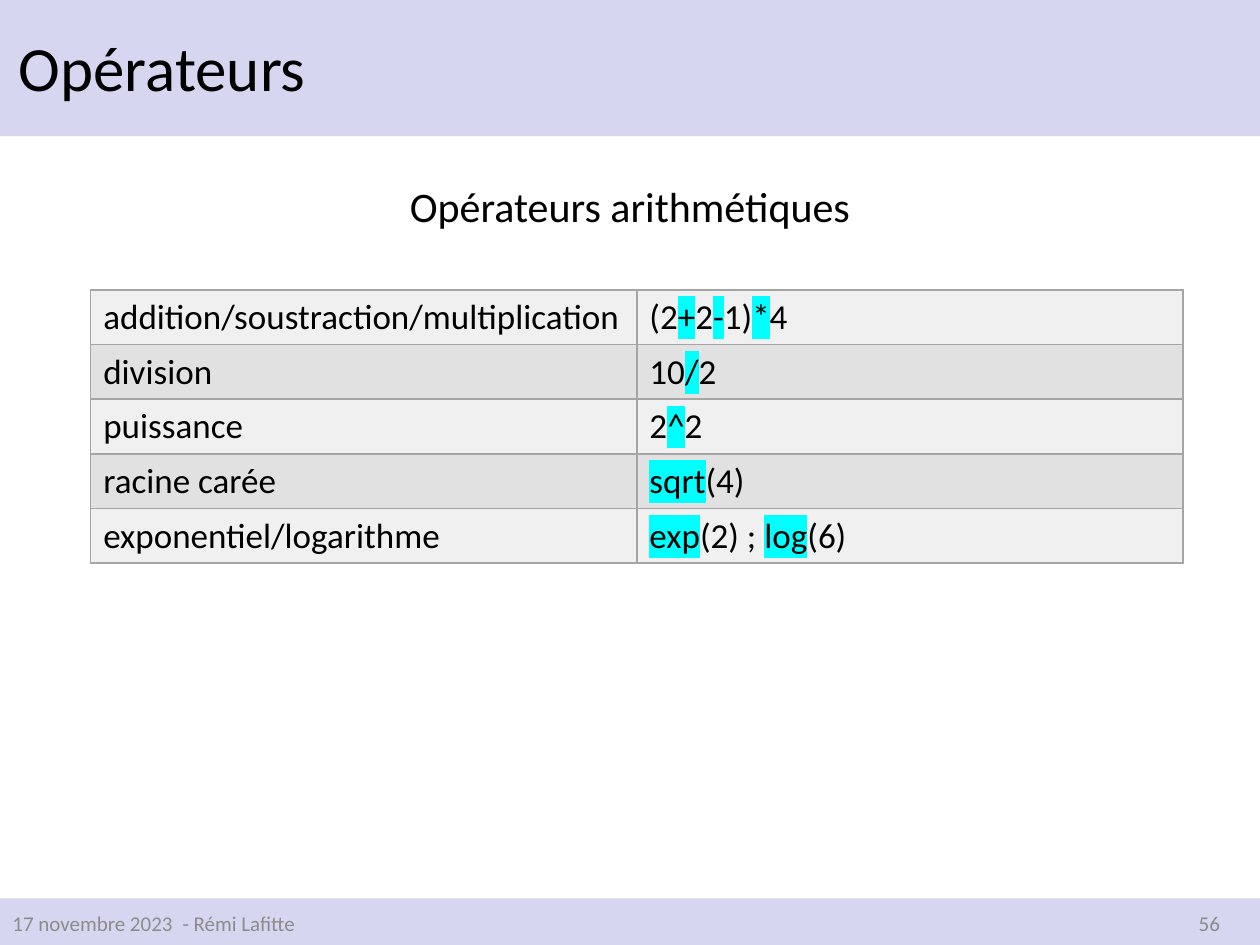
from lxml import etree
from pptx import Presentation
from pptx import util as u
from pptx.dml.color import RGBColor
from pptx.enum import shapes, text
from pptx.oxml import ns

WIDTH, HEIGHT = u.Inches(10), u.Inches(7.5)
FONT = "Calibri"
BLACK = RGBColor(0x00, 0x00, 0x00)
GREY = RGBColor(0x8C, 0x8C, 0x8C)
LAVENDER = RGBColor(0xD6, 0xD6, 0xF0)
BORDER = RGBColor(0xA5, 0xA5, 0xA5)
HIGHLIGHT = RGBColor(0x00, 0xFF, 0xFF)
ROW_FILLS = (RGBColor(0xF0, 0xF0, 0xF0), RGBColor(0xE1, 0xE1, 0xE1))

# Parts between bars are highlighted operators.
OPERATORS = [
    ("addition/soustraction/multiplication", "(2|+|2|-|1)|*|4"),
    ("division", "10|/|2"),
    ("puissance", "2|^|2"),
    ("racine carée", "|sqrt|(4)"),
    ("exponentiel/logarithme", "|exp|(2) ; |log|(6)"),
]


def add_colour(parent, tag, colour):
    holder = etree.SubElement(parent, ns.qn(tag))
    etree.SubElement(holder, ns.qn("a:srgbClr")).set("val", str(colour))
    return holder


def add_run(paragraph, words, size, colour=BLACK, highlighted=False):
    run = paragraph.add_run()
    run.text = words
    run.font.size = u.Pt(size)
    run.font.color.rgb = colour
    if highlighted:
        add_colour(run.font._element, "a:highlight", HIGHLIGHT)
    run.font.name = FONT


def add_band(slide, top, height):
    """Draw a full-width band behind everything else."""
    band = slide.shapes.add_shape(shapes.MSO_SHAPE.RECTANGLE, 0, u.Inches(top),
                                  WIDTH, u.Inches(height))
    band.shadow.inherit = False
    band.fill.solid()
    band.fill.fore_color.rgb = LAVENDER
    band.line.fill.background()
    slide.shapes._spTree.insert(2, band._element)


def add_title(slide, words):
    title = slide.shapes.title
    title.left, title.top = u.Inches(0.05), u.Inches(0.07)
    title.width, title.height = u.Inches(7.33), u.Inches(0.99)
    title.text_frame.vertical_anchor = text.MSO_ANCHOR.MIDDLE
    paragraph = title.text_frame.paragraphs[0]
    paragraph.alignment = text.PP_ALIGN.LEFT
    paragraph.line_spacing = 0.9
    add_run(paragraph, words, 36)


def add_label(slide, words, box, size, colour, align, anchor, spacing=1.0):
    label = slide.shapes.add_textbox(*(u.Inches(length) for length in box))
    frame = label.text_frame
    frame.word_wrap = True
    frame.vertical_anchor = anchor
    paragraph = frame.paragraphs[0]
    paragraph.alignment = align
    paragraph.line_spacing = spacing
    add_run(paragraph, words, size, colour)


def add_footer(slide, words, left, align=text.PP_ALIGN.LEFT):
    add_label(slide, words, (left, 7.13, 2.25, 0.4), 12, GREY, align,
              text.MSO_ANCHOR.MIDDLE)


def style_cell(cell, fill):
    properties = cell._tc.get_or_add_tcPr()
    for side in "LRTB":
        line = etree.SubElement(properties, ns.qn(f"a:ln{side}"))
        line.set("w", str(u.Pt(1)))
        add_colour(line, "a:solidFill", BORDER)
    cell.fill.solid()
    cell.fill.fore_color.rgb = fill


def add_operator_table(slide):
    row_count = len(OPERATORS)
    table = slide.shapes.add_table(row_count, 2, u.Inches(0.72), u.Inches(2.3),
                                   u.Inches(8.67), u.Inches(2.17)).table
    table.first_row = False
    for row, entry in enumerate(OPERATORS):
        for column, marked in enumerate(entry):
            cell = table.cell(row, column)
            style_cell(cell, ROW_FILLS[row % 2])
            for index, part in enumerate(marked.split("|")):
                if part:
                    add_run(cell.text_frame.paragraphs[0], part, 20,
                            highlighted=index % 2 == 1)


def main():
    deck = Presentation()
    deck.slide_width, deck.slide_height = WIDTH, HEIGHT
    slide = deck.slides.add_slide(deck.slide_layouts[5])
    add_band(slide, 0, 1.08)
    add_band(slide, 7.13, 0.37)
    add_footer(slide, "- Rémi Lafitte", 1.35)
    add_footer(slide, "17 novembre 2023", 0)
    add_footer(slide, "56", 7.53, text.PP_ALIGN.RIGHT)
    add_title(slide, "Opérateurs")
    add_label(slide, "Opérateurs arithmétiques", (0, 1.18, 10, 0.64), 24, BLACK,
              text.PP_ALIGN.CENTER, text.MSO_ANCHOR.TOP, 1.5)
    add_operator_table(slide)
    deck.save("out.pptx")


if __name__ == "__main__":
    main()
